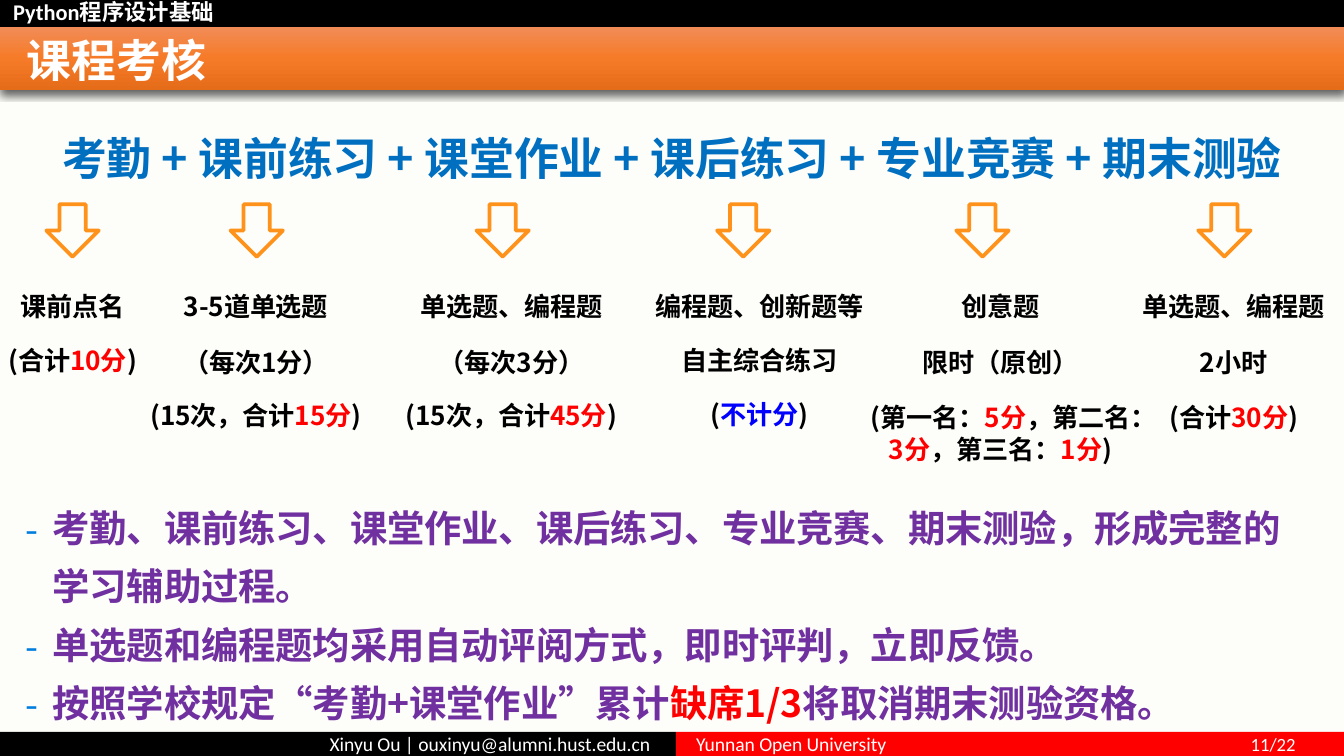
from lxml import etree
from pptx import Presentation
from pptx import util as u
from pptx.dml.color import RGBColor
from pptx.enum import shapes, text
from pptx.oxml import ns, parse_xml

THEME = {
    "black": "000000", "white": "FFFFFF", "red": "FF0000", "blue": "0000FF",
    "paper": "FDFDF9", "heading": "006FC0", "purple": "7030A0",
    "dash": "007EDE", "arrow": "FF921A",
    "banner": ((0, "F18C57"), (50, "F67B28"), (100, "E56C19")),
    "latin": "Calibri", "cjk": "Noto Sans CJK SC",
    "course": 12, "title": 24, "note": 14, "rule": 20, "footer": 10.5, "page": 10,
}
WIDTH = 10
HEIGHT = WIDTH * 9 / 16

# Content: a run is (words, colour)
COURSE = "Python程序设计基础"
TITLE = "课程考核"
PARTS = ["考勤", "课前练习", "课堂作业", "课后练习", "专业竞赛", "期末测验"]

# Each part: arrow centre, left, width, gaps between lines (pt), lines of runs
DETAILS = [
    (0.54, 0, 1.08, [12.1],
     [[("课前点名", "black")],
      [("(合计", "black"), ("10分", "red"), (")", "black")]]),
    (1.91, 0.99, 1.83, [13, 12.1],
     [[("3-5道单选题", "black")], [("（每次1分）", "black")],
      [("(15次，合计", "black"), ("15分", "red"), (")", "black")]]),
    (3.74, 2.83, 1.95, [13, 12.1],
     [[("单选题、编程题", "black")], [("（每次3分）", "black")],
      [("(15次，合计", "black"), ("45分", "red"), (")", "black")]]),
    (5.53, 4.77, 1.76, [12.1, 12.1],
     [[("编程题、创新题等", "black")], [("自主综合练习", "black")],
      [("(", "black"), ("不计分", "blue"), (")", "black")]]),
    (7.31, 6.47, 1.95, [13, 13],
     [[("创意题", "black")], [("限时（原创）", "black")],
      [("(第一名：", "black"), ("5分", "red"), ("，第二名：", "black"),
       ("3分", "red"), ("，第三名：", "black"), ("1分", "red"), (")", "black")]]),
    (9.11, 8.42, 1.52, [13, 13],
     [[("单选题、编程题", "black")], [("2小时", "black")],
      [("(合计", "black"), ("30分", "red"), (")", "black")]]),
]
RULES = [
    [("考勤、课前练习、课堂作业、课后练习、专业竞赛、期末测验，形成完整的学习辅助过程。", "purple")],
    [("单选题和编程题均采用自动评阅方式，即时评判，立即反馈。", "purple")],
    [("按照学校规定“考勤+课堂作业”累计", "purple"), ("缺席1/3", "red"),
     ("将取消期末测验资格。", "purple")],
]
AUTHOR = "Xinyu Ou | ouxinyu@alumni.hust.edu.cn"
SCHOOL, PAGE = "Yunnan Open University", "11/22"


def rgb(name):
    return RGBColor.from_string(THEME[name])


def inches(values):
    return [u.Inches(value) for value in values]


def add_bar(slide, box, colour=None):
    bar = slide.shapes.add_shape(shapes.MSO_SHAPE.RECTANGLE, *inches(box))
    bar.shadow.inherit = False
    bar.line.fill.background()
    if colour:
        bar.fill.solid()
        bar.fill.fore_color.rgb = rgb(colour)
    return bar


def set_frame(shape, insets, anchor=text.MSO_ANCHOR.TOP):
    frame = shape.text_frame
    frame.word_wrap = True
    frame.vertical_anchor = anchor
    (frame.margin_left, frame.margin_top,
     frame.margin_right, frame.margin_bottom) = inches(insets)
    return frame


def add_box(slide, box, insets, anchor=text.MSO_ANCHOR.TOP):
    return set_frame(slide.shapes.add_textbox(*inches(box)), insets, anchor)


def write(paragraph, runs, size, font="cjk", bold=True, tracking=0,
          align=text.PP_ALIGN.LEFT):
    paragraph.alignment = align
    for words, colour in runs:
        run = paragraph.add_run()
        run.text = words
        run.font.size = u.Pt(THEME[size])
        run.font.bold = bold
        run.font.color.rgb = rgb(colour)
        run.font.name = THEME[font]
        props = run.font._element
        etree.SubElement(props, ns.qn("a:ea")).set("typeface", THEME["cjk"])
        if tracking:
            props.set("spc", str(tracking))


def add_tab(paragraph, position, align):
    tabs = etree.SubElement(paragraph._p.get_or_add_pPr(), ns.qn("a:tabLst"))
    etree.SubElement(tabs, ns.qn("a:tab"), pos=str(u.Inches(position)), algn=align)


def add_dash(paragraph):
    props = paragraph._p.get_or_add_pPr()
    props.set("marL", str(u.Inches(0.22)))
    props.set("indent", str(u.Inches(-0.2)))
    colour = etree.SubElement(props, ns.qn("a:buClr"))
    etree.SubElement(colour, ns.qn("a:srgbClr"), val=THEME["dash"])
    etree.SubElement(props, ns.qn("a:buFont"), typeface=THEME["cjk"])
    etree.SubElement(props, ns.qn("a:buChar"), char="-")


def style_banner(banner):
    stops = "".join(f'<a:gs pos="{share * 1000}"><a:srgbClr val="{colour}"/></a:gs>'
                    for share, colour in THEME["banner"])
    props = banner._element.spPr
    gradient = parse_xml(f'<a:gradFill {ns.nsdecls("a")} rotWithShape="1"><a:gsLst>{stops}'
                         '</a:gsLst><a:lin ang="5400000" scaled="0"/></a:gradFill>')
    props.find(ns.qn("a:prstGeom")).addnext(gradient)
    props.find(ns.qn("a:effectLst")).append(parse_xml(
        f'<a:outerShdw {ns.nsdecls("a")} blurRad="{u.Pt(4.5)}" dist="{u.Pt(1.5)}" '
        'dir="5400000" rotWithShape="0"><a:srgbClr val="000000">'
        '<a:alpha val="63000"/></a:srgbClr></a:outerShdw>'))


def main():
    deck = Presentation()
    deck.slide_width, deck.slide_height = inches((WIDTH, HEIGHT))
    slide = deck.slides.add_slide(deck.slide_layouts[6])
    slide.background.fill.solid()
    slide.background.fill.fore_color.rgb = rgb("paper")
    middle, centre = text.MSO_ANCHOR.MIDDLE, text.PP_ALIGN.CENTER

    # Course strip and title banner
    add_bar(slide, (0, 0, WIDTH, 0.2), "black")
    course = add_box(slide, (0, 0, WIDTH, 0.25), (0.1, 0.05, 0.1, 0.05)).paragraphs[0]
    course.line_spacing = u.Pt(10)
    write(course, [(COURSE, "white")], "course", "latin")
    style_banner(add_bar(slide, (0, 0.2, WIDTH, 0.47)))
    title = add_box(slide, (0, 0.24, WIDTH, 0.4), (0.2, 0, 0, 0), middle)
    write(title.paragraphs[0], [(TITLE, "white")], "title")

    # Footer: author on the left, school and page on the right
    split, depth = 5.03, 0.18
    top = HEIGHT - depth
    author = set_frame(add_bar(slide, (0, top, split, depth), "black"),
                       (0.15, 0, 0.19, 0), middle)
    write(author.paragraphs[0], [(AUTHOR, "white")], "footer", "latin", False,
          align=text.PP_ALIGN.RIGHT)
    school = set_frame(add_bar(slide, (split, top, WIDTH - split, depth), "red"),
                       (0.15, 0, 0.15, 0)).paragraphs[0]
    add_tab(school, 4.46, "r")
    write(school, [(SCHOOL + "\t", "white")], "footer", "latin", False)
    write(school, [(PAGE, "white")], "page", "latin", False)

    # Sum of the graded parts
    heading = add_box(slide, (0, 0.96, WIDTH, 0.42), (0, 0.01, 0, 0))
    write(heading.paragraphs[0], [(" + ".join(PARTS), "heading")], "title", align=centre)

    # Arrow and details under each part
    side = 0.39
    for middle_x, left, width, gaps, lines in DETAILS:
        arrow = slide.shapes.add_shape(shapes.MSO_SHAPE.DOWN_ARROW,
                                       *inches((middle_x - side / 2, 1.52, side, side)))
        arrow.shadow.inherit = False
        arrow.fill.background()
        arrow.line.color.rgb = rgb("arrow")
        arrow.line.width = u.Pt(1.98)
        details = add_box(slide, (left, 1.98, width, 1.24), (0, 0.18, 0, 0))
        for row, runs in enumerate(lines):
            line = details.add_paragraph() if row else details.paragraphs[0]
            if row:
                line.space_before = u.Pt(gaps[row - 1])
            write(line, runs, "note", tracking=-10, align=centre)

    # Rules of the assessment
    rules = add_box(slide, (0.17, 3.65, 9.48, 1.72), (0, 0.01, 0, 0))
    for row, runs in enumerate(RULES):
        rule = rules.add_paragraph() if row else rules.paragraphs[0]
        add_dash(rule)
        rule.line_spacing = 1.3
        write(rule, runs, "rule", tracking=-10)

    deck.save("out.pptx")


if __name__ == "__main__":
    main()
